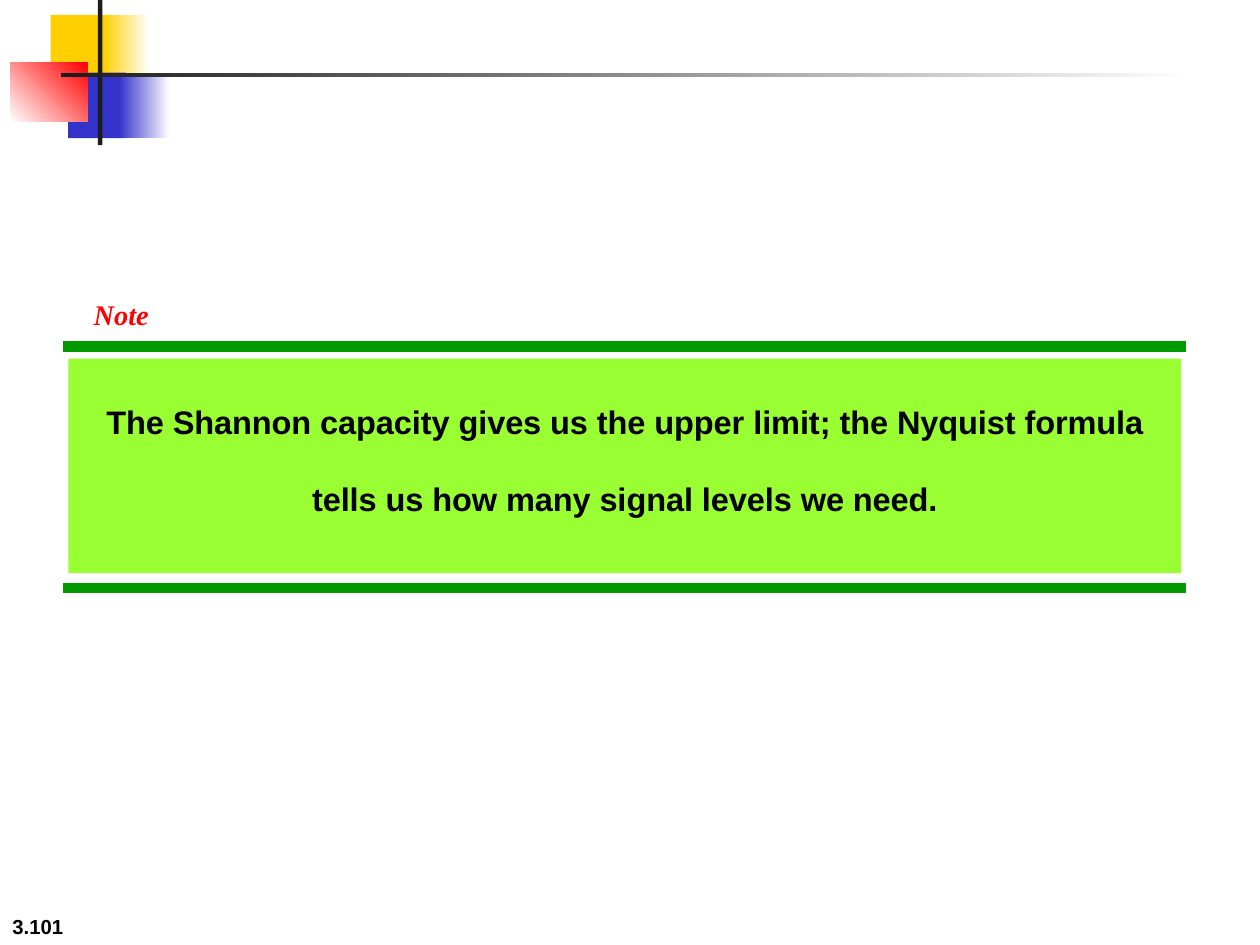
from lxml import etree
from pptx import Presentation
from pptx.dml.color import RGBColor
from pptx.enum import shapes, text
from pptx.oxml import ns
from pptx.util import Pt

COLORS = {
    "yellow": "FFCF01",
    "blue": "3333CC",
    "red": "FF0000",
    "white": "FFFFFF",
    "ink": "1C1C1C",
    "black": "000000",
    "green": "009900",
    "lime": "99FF33",
}


def rgb(name):
    """Look up a named colour."""
    return RGBColor.from_string(COLORS[name])


def add_block(page, left, top, width, height, start, end=None, angle=0):
    """Add a borderless rectangle, solid or fading from start to end."""
    block = page.shapes.add_shape(
        shapes.MSO_SHAPE.RECTANGLE, Pt(left), Pt(top), Pt(width), Pt(height))
    block.shadow.inherit = False
    block.line.fill.background()
    if end is None:
        block.fill.solid()
        block.fill.fore_color.rgb = rgb(start)
    else:
        block.fill.gradient()
        block.fill.gradient_angle = angle
        for stop, name, position in zip(block.fill.gradient_stops, (start, end), (0, 1)):
            stop.color.rgb = rgb(name)
            stop.position = position
    return block


def add_rule(page, left, top, width):
    """Add a thick horizontal green line."""
    rule = page.shapes.add_connector(
        shapes.MSO_CONNECTOR.STRAIGHT, Pt(left), Pt(top), Pt(left + width), Pt(top))
    rule.line.color.rgb = rgb("green")
    rule.line.width = Pt(6)
    etree.SubElement(rule._element.spPr, ns.qn("a:effectLst"))


def write(box, words, size, font="Arial", color="black", italic=False,
          align=text.PP_ALIGN.LEFT, anchor=text.MSO_ANCHOR.TOP):
    """Write one bold, subscript-set paragraph into a box."""
    frame = box.text_frame
    frame.word_wrap = True
    frame.vertical_anchor = anchor
    para = frame.paragraphs[0]
    para.alignment = align
    span = para.add_run()
    span.text = words
    span.font.name = font
    span.font.size = Pt(size)
    span.font.bold = True
    span.font.italic = italic
    span.font.color.rgb = rgb(color)
    span._r.get_or_add_rPr().set("baseline", "-25000")


def add_text(page, left, top, width, height, words, size, **style):
    """Add a text box holding one paragraph."""
    box = page.shapes.add_textbox(Pt(left), Pt(top), Pt(width), Pt(height))
    write(box, words, size, **style)


def add_ornament(page, left, top, width, height):
    """Add the coloured squares with the crossing bars."""
    add_block(page, left + 23, top + 8.5, 35, 37.5, "yellow")
    add_block(page, left + 53, top + 8.5, 26, 37.5, "yellow", "white")
    add_block(page, left + 33, top + 41.5, 33, 37.5, "blue")
    add_block(page, left + 62, top + 41.5, 29, 37.5, "blue", "white")
    add_block(page, left, top + 36, 44, 33.5, "white", "red", angle=45)
    add_block(page, left + 50, top, 2.5, height, "ink")
    add_block(page, left + 29, top + 41.5, width - 29, 2.5, "ink", "white")


def add_note(page, left, top, width, height):
    """Add the note heading and the statement between two rules."""
    rule_top = top + 50.5
    add_rule(page, left, rule_top, width)
    add_rule(page, left, top + height, width)
    panel = add_block(page, left + 3, rule_top + 7, width - 6, 122.5, "lime")
    write(panel, "The Shannon capacity gives us the upper limit; the Nyquist formula "
                 "tells us how many signal levels we need.",
          32, align=text.PP_ALIGN.CENTER)
    add_text(page, left + 10.5, top, 69, 41, "Note", 28,
             font="Times New Roman", color="red", italic=True)


def add_page_number(page, left, top, width, height):
    """Add the page number at the foot of the slide."""
    add_text(page, left, top, width, height, "3.101", 20, anchor=text.MSO_ANCHOR.BOTTOM)


def main():
    """Build and save the slide."""
    deck = Presentation()
    deck.slide_width, deck.slide_height = Pt(720), Pt(540)
    page = deck.slides.add_slide(deck.slide_layouts[6])
    add_page_number(page, 0, 504, 150, 36)
    add_ornament(page, 6, 0, 677, 83)
    add_note(page, 36, 147.5, 642, 188.5)
    deck.save("out.pptx")


if __name__ == "__main__":
    main()
